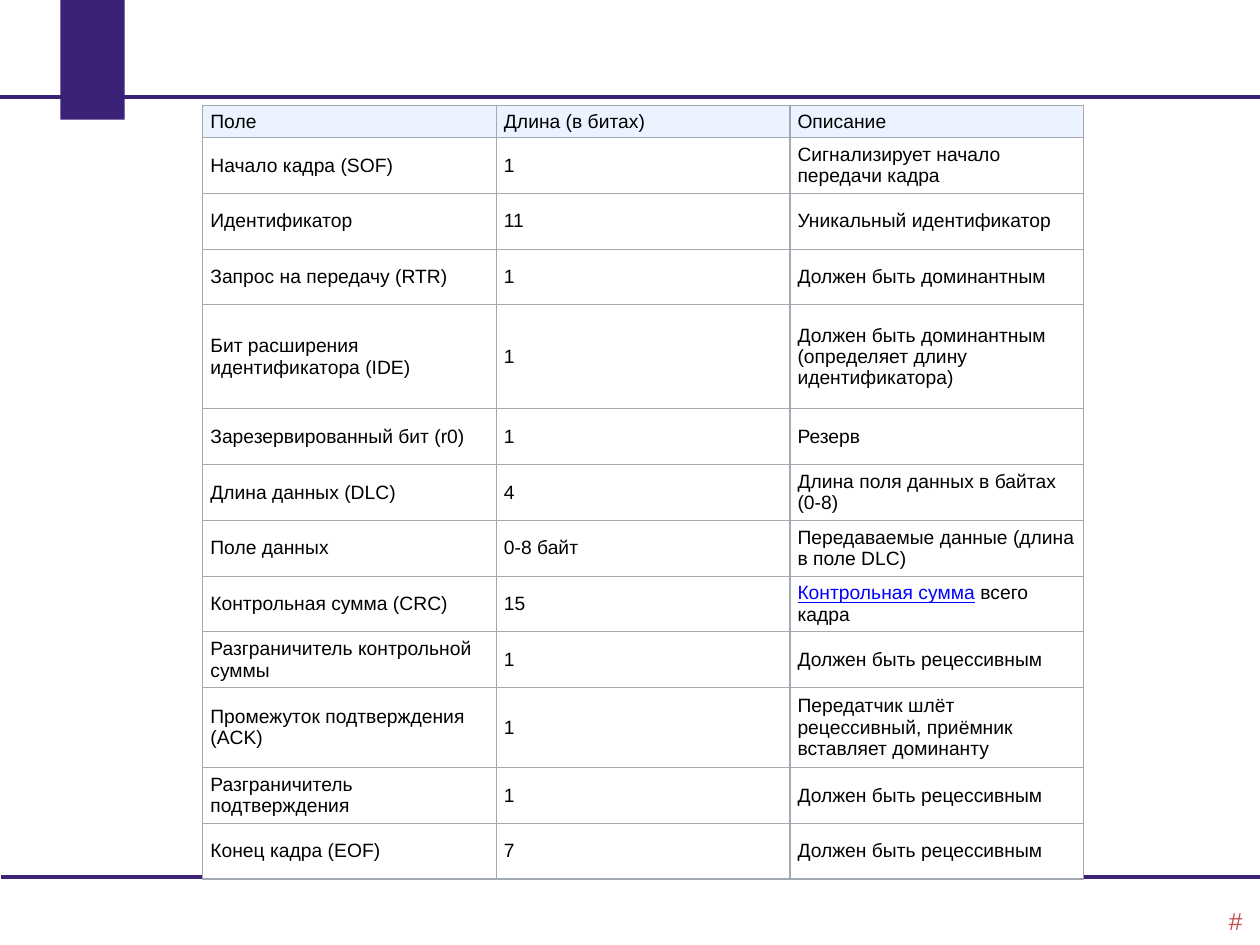
from lxml.etree import SubElement
from pptx import Presentation
from pptx.dml.color import RGBColor
from pptx.enum.shapes import MSO_CONNECTOR, MSO_SHAPE
from pptx.enum.text import MSO_ANCHOR, PP_ALIGN
from pptx.oxml.ns import qn
from pptx.util import Inches, Pt

COLORS = {
    "violet": "3C2277",
    "page_number": "C0504D",
    "header": "EAF3FF",
    "body": "FFFFFF",
    "border": "A2A9B1",
    "text": "000000",
    "link": "0000FF",
}
FONT = "Arial"
HEADINGS = ("Поле", "Длина (в битах)", "Описание")
HEADER_HEIGHT, ROW_HEIGHT = 0.25, 0.44
TALL_ROWS = {"Бит расширения идентификатора (IDE)": 0.82, "Промежуток подтверждения (ACK)": 0.63}
FRAME_FIELDS = [
    ("Начало кадра (SOF)", "1", "Сигнализирует начало передачи кадра"),
    ("Идентификатор", "11", "Уникальный идентификатор"),
    ("Запрос на передачу (RTR)", "1", "Должен быть доминантным"),
    ("Бит расширения идентификатора (IDE)", "1",
     "Должен быть доминантным (определяет длину идентификатора)"),
    ("Зарезервированный бит (r0)", "1", "Резерв"),
    ("Длина данных (DLC)", "4", "Длина поля данных в байтах (0-8)"),
    ("Поле данных", "0-8 байт", "Передаваемые данные (длина в поле DLC)"),
    ("Контрольная сумма (CRC)", "15", [("Контрольная сумма", "link"), (" всего кадра", "text")]),
    ("Разграничитель контрольной суммы", "1", "Должен быть рецессивным"),
    ("Промежуток подтверждения (ACK)", "1",
     "Передатчик шлёт рецессивный, приёмник вставляет доминанту"),
    ("Разграничитель подтверждения", "1", "Должен быть рецессивным"),
    ("Конец кадра (EOF)", "7", "Должен быть рецессивным"),
]


def rgb(color):
    """Return the named colour."""
    return RGBColor.from_string(COLORS[color])


def add_run(paragraph, text, size, color):
    """Append a styled run, underlined if it is a link."""
    run = paragraph.add_run()
    run.text = text
    run.font.name = FONT
    run.font.size = Pt(size)
    run.font.color.rgb = rgb(color)
    if color == "link":
        run.font.underline = True


def add_rule(slide, left, top, width):
    """Draw a horizontal violet rule."""
    rule = slide.shapes.add_connector(
        MSO_CONNECTOR.STRAIGHT, Inches(left), Inches(top), Inches(left + width), Inches(top))
    rule.line.color.rgb = rgb("violet")
    rule.line.width = Pt(2.25)
    SubElement(rule._element.spPr, qn("a:effectLst"))


def add_bookmark(slide, left, top, width, height):
    """Draw the violet block hanging from the top edge."""
    bookmark = slide.shapes.add_shape(
        MSO_SHAPE.RECTANGLE, Inches(left), Inches(top), Inches(width), Inches(height))
    bookmark.shadow.inherit = False
    bookmark.fill.solid()
    bookmark.fill.fore_color.rgb = rgb("violet")
    bookmark.line.fill.background()


def add_page_number(slide, left, top, width, height):
    """Place the right-aligned page number mark."""
    page_number = slide.shapes.add_textbox(
        Inches(left), Inches(top), Inches(width), Inches(height)).text_frame
    page_number.word_wrap = True
    paragraph = page_number.paragraphs[0]
    paragraph.alignment = PP_ALIGN.RIGHT
    add_run(paragraph, "#", 14, "page_number")


def add_borders(cell):
    """Outline all four sides of a cell, ahead of its fill."""
    properties = cell._tc.get_or_add_tcPr()
    for position, side in enumerate(("lnL", "lnR", "lnT", "lnB")):
        border = SubElement(properties, qn(f"a:{side}"), w=str(Pt(0.75)))
        properties.insert(position, border)
        fill = SubElement(border, qn("a:solidFill"))
        SubElement(fill, qn("a:srgbClr"), val=COLORS["border"])


def fill_cell(cell, content, background):
    """Write and style one table cell."""
    cell.vertical_anchor = MSO_ANCHOR.MIDDLE
    cell.margin_left = cell.margin_right = Inches(0.06)
    cell.margin_top = cell.margin_bottom = Inches(0.03)
    cell.fill.solid()
    cell.fill.fore_color.rgb = rgb(background)
    add_borders(cell)
    paragraph = cell.text_frame.paragraphs[0]
    paragraph.alignment = PP_ALIGN.LEFT
    for text, color in [(content, "text")] if isinstance(content, str) else content:
        add_run(paragraph, text, 11, color)


def add_frame_table(slide, left, top, width, height):
    """Build the table of frame fields, its rows scaled to fill the box."""
    records = [HEADINGS, *FRAME_FIELDS]
    heights = [HEADER_HEIGHT] + [TALL_ROWS.get(field[0], ROW_HEIGHT) for field in FRAME_FIELDS]
    scale = height / sum(heights)
    table = slide.shapes.add_table(
        len(records), len(HEADINGS), Inches(left), Inches(top), Inches(width), Inches(height)).table
    table.horz_banding = False
    for column in table.columns:
        column.width = Inches(width / len(HEADINGS))
    for row, record, row_height in zip(table.rows, records, heights):
        row.height = Inches(row_height * scale)
        for cell, content in zip(row.cells, record):
            fill_cell(cell, content, "header" if record is HEADINGS else "body")


def main():
    """Build and save the slide."""
    presentation = Presentation()
    presentation.slide_width, presentation.slide_height = Inches(10), Inches(7.5)
    slide = presentation.slides.add_slide(presentation.slide_layouts[6])
    add_rule(slide, 0, 0.77, 10)
    add_bookmark(slide, 0.48, 0, 0.51, 0.95)
    add_rule(slide, 0.01, 6.96, 10)
    add_page_number(slide, 7.63, 7.14, 2.33, 0.36)
    add_frame_table(slide, 1.61, 0.84, 6.99, 6.14)
    presentation.save("out.pptx")


if __name__ == "__main__":
    main()
